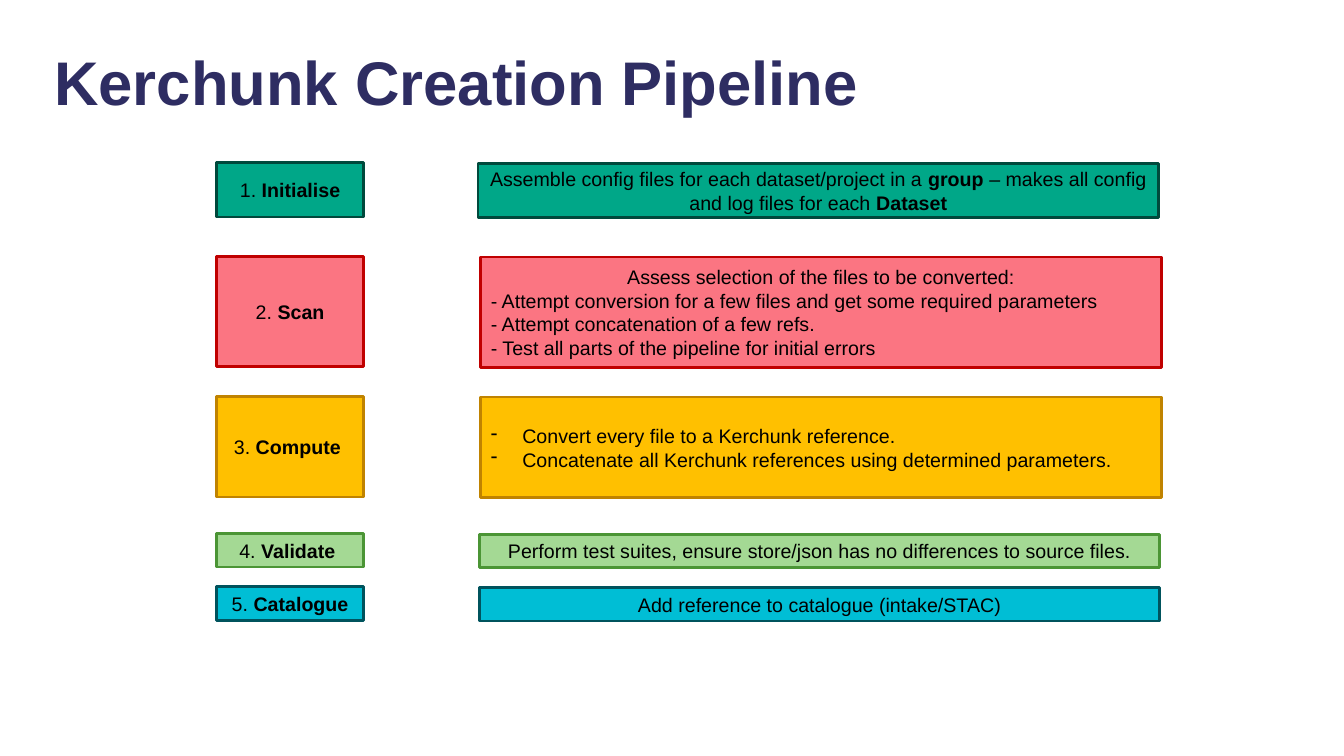
"""Build the Kerchunk creation pipeline slide."""
from lxml import etree
from pptx import Presentation
from pptx.dml.color import RGBColor
from pptx.enum.shapes import MSO_SHAPE
from pptx.enum.text import MSO_ANCHOR, MSO_AUTO_SIZE, PP_ALIGN
from pptx.oxml.ns import qn
from pptx.util import Pt

RECT = MSO_SHAPE.RECTANGLE
MID = MSO_ANCHOR.MIDDLE
FIXED = MSO_AUTO_SIZE.NONE
LEFT, MIDDLE = PP_ALIGN.LEFT, PP_ALIGN.CENTER

TITLE = "Kerchunk Creation Pipeline"
STEPS = [
    {"name": "1. **Initialise**", "top": 116, "high": 39, "left": 341.5,
     "fill": "00A788", "edge": "00493C",
     "head": ["Assemble config files for each dataset/project in a **group**"
              " – makes all config and log files for each **Dataset**"]},
    {"name": "2. **Scan**", "top": 183, "high": 79, "left": 343.5,
     "fill": "FB7582", "edge": "C00000",
     "head": ["Assess selection of the files to be converted:"],
     "body": ["- Attempt conversion for a few files and get some required parameters",
              "- Attempt concatenation of a few refs.",
              "- Test all parts of the pipeline for initial errors"]},
    {"name": "3. **Compute **", "top": 283, "high": 72, "left": 343.5,
     "fill": "FFC000", "edge": "C08300",
     "list": ["Convert every file to a Kerchunk reference.",
              "Concatenate all Kerchunk references using determined parameters."]},
    {"name": "4. **Validate **", "top": 381, "high": 24, "left": 342.5,
     "fill": "A4D994", "edge": "4B9535",
     "head": ["Perform test suites, ensure store/json has no differences to source files."]},
    {"name": "5. **Catalogue**", "top": 419, "high": 24, "left": 342.5,
     "fill": "00BED5", "edge": "00535D",
     "head": ["Add reference to catalogue (intake/STAC)"]},
]
NAME_X, NAME_W, TEXT_W = 154.5, 105.5, 486
DROP = 0.6
INDENT = 22.5


def color(code):
    return RGBColor.from_string(code)


def write(para, text, size=14, ink="000000", bold=False, align=MIDDLE, dash=False):
    para.alignment = align
    for i, part in enumerate(text.split("**")):
        if part:
            run = para.add_run()
            run.text = part
            font = run.font
            font.name, font.size = "Arial", Pt(size)
            font.bold = bold or i % 2 == 1
            font.color.rgb = color(ink)
    if dash:
        props = para._p.get_or_add_pPr()
        props.set("marL", str(Pt(INDENT)))
        props.set("indent", str(-Pt(INDENT)))
        etree.SubElement(props, qn("a:buChar")).set("char", "-")


def box(slide, x, y, w, h, step, lines):
    shape = slide.shapes.add_shape(RECT, Pt(x), Pt(y), Pt(w), Pt(h))
    shape.shadow.inherit = False
    shape.fill.solid()
    shape.fill.fore_color.rgb = color(step["fill"])
    shape.line.color.rgb = color(step["edge"])
    shape.line.width = Pt(2)
    frame = shape.text_frame
    frame.word_wrap = True
    frame.vertical_anchor = MID
    for i, (text, form) in enumerate(lines):
        para = frame.add_paragraph() if i else frame.paragraphs[0]
        write(para, text, **form)


def main():
    deck = Presentation()
    deck.slide_width, deck.slide_height = Pt(960), Pt(540)
    slide = deck.slides.add_slide(deck.slide_layouts[5])

    title = slide.shapes.title
    title.left, title.top = Pt(31.5), Pt(27.5)
    title.width, title.height = Pt(920), Pt(60.5)
    title.text_frame.auto_size = FIXED
    title.text_frame.vertical_anchor = MID
    write(title.text_frame.paragraphs[0], TITLE, size=44, ink="2E2D62",
          bold=True, align=LEFT)

    forms = {"head": {}, "body": {"align": LEFT},
             "list": {"align": LEFT, "dash": True}}
    for step in STEPS:
        top, high = step["top"], step["high"]
        lines = [(text, form) for key, form in forms.items()
                 for text in step.get(key, [])]
        box(slide, NAME_X, top, NAME_W, high, step, [(step["name"], {})])
        box(slide, step["left"], top + DROP, TEXT_W, high, step, lines)

    deck.save("out.pptx")


if __name__ == "__main__":
    main()
